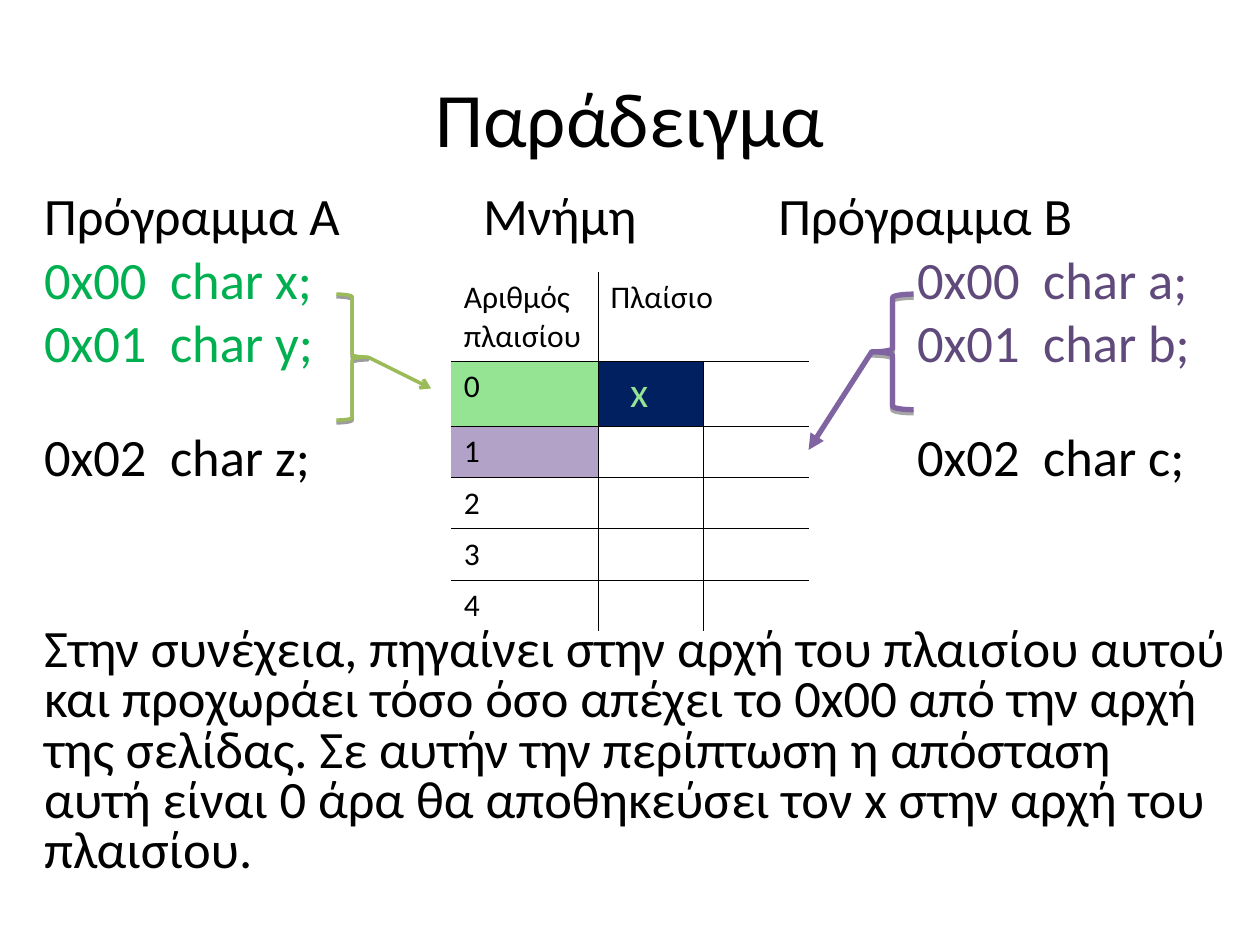
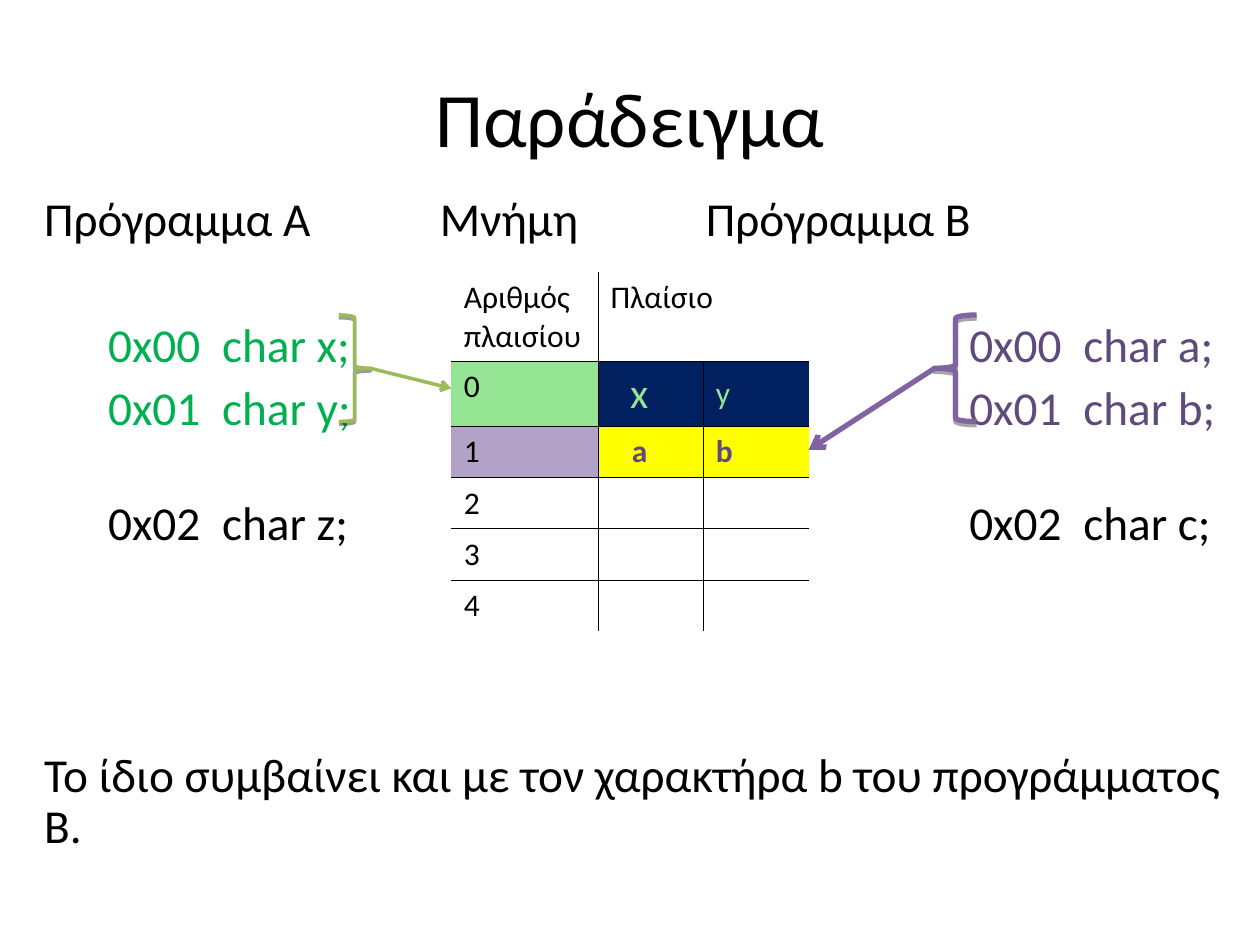
from dataclasses import dataclass

from lxml import etree
from pptx import Presentation
from pptx.dml.color import RGBColor
from pptx.enum.shapes import MSO_CONNECTOR, MSO_SHAPE
from pptx.enum.text import MSO_ANCHOR, PP_ALIGN
from pptx.oxml.ns import qn
from pptx.util import Cm, Pt


@dataclass(frozen=True)
class Theme:
    font: str = "Calibri"
    black: str = "000000"
    green_text: str = "00B050"
    purple_text: str = "604A7B"
    green_line: str = "9BBB59"
    purple_line: str = "8064A2"
    green_cell: str = "94E494"
    purple_cell: str = "B3A2C7"
    navy_cell: str = "002060"
    yellow_cell: str = "FFFF00"
    title_size: float = 44
    table_size: float = 18
    big_cell_size: float = 24
    border: float = 0.45


THEME = Theme()
CODE_LINES = [("0x00", "char x;", "char a;"), ("0x01", "char y;", "char b;"),
              ("0x02", "char z;", "char c;")]
FRAME_EDGE = (16.3, 9.07)


@dataclass
class BodyStyle:
    size: float
    line_spacing: float
    gap: float
    header_tabs: tuple
    code_tabs: tuple
    code_lead: str
    code_gaps: tuple
    note_gap: float


@dataclass
class Entry:
    """One coloured table cell holding a variable or a frame number."""
    text: str
    fill: str
    color: str = THEME.black
    size: float = THEME.table_size
    bold: bool = False
    inset: float = 0.25
    middle: bool = False


class MemoryDeck:
    def __init__(self, theme):
        self.theme = theme
        self.deck = Presentation()
        self.deck.slide_width, self.deck.slide_height = Cm(25.4), Cm(19.05)
        self.page = None

    def add_page(self, title):
        self.page = self.deck.slides.add_slide(self.deck.slide_layouts[5])
        box = self.page.shapes.title
        box.left, box.top, box.width, box.height = Cm(1.27), Cm(0.76), Cm(22.86), Cm(3.18)
        box.text_frame.text = title
        box.text_frame.vertical_anchor = MSO_ANCHOR.MIDDLE
        para = box.text_frame.paragraphs[0]
        para.alignment = PP_ALIGN.CENTER
        self.format_span(para.runs[0], self.theme.title_size, self.theme.black)

    def format_span(self, span, size, color, bold=False):
        span.font.name = self.theme.font
        span.font.size = Pt(size)
        span.font.bold = bold
        span.font.color.rgb = RGBColor.from_string(color)

    def add_body(self, style, note):
        theme = self.theme
        box = self.page.shapes.add_textbox(Cm(0.64), Cm(3.81), Cm(24.35), Cm(14.6))
        frame = box.text_frame
        frame.word_wrap = True
        header = "\t".join(["Πρόγραμμα Α", "Μνήμη", "Πρόγραμμα Β"])
        self.add_line(frame.paragraphs[0], style, [(header, theme.black)], 0,
                      style.header_tabs)
        colors = [(theme.green_text, theme.purple_text)] * 2 + [(theme.black, theme.black)]
        for (address, left, right), pair, gap in zip(CODE_LINES, colors, style.code_gaps):
            spans = [(f"{style.code_lead}{address}\t{left}\t", pair[0]),
                     (f"{address}\t{right}", pair[1])]
            self.add_line(frame.add_paragraph(), style, spans, gap, style.code_tabs)
        self.add_line(frame.add_paragraph(), style, [(note, theme.black)], style.note_gap)

    def add_line(self, para, style, spans, gap, tabs=()):
        if tabs:
            tab_list = etree.SubElement(para._p.get_or_add_pPr(), qn("a:tabLst"))
            for tab in tabs:
                etree.SubElement(tab_list, qn("a:tab"), pos=str(Cm(tab)), algn="l")
        para.line_spacing = style.line_spacing
        para.space_before = Pt(gap)
        for text, color in spans:
            span = para.add_run()
            span.text = text
            self.format_span(span, style.size, color)

    def add_frame_table(self, entries):
        """Draw the frame table; entries maps (row, column) to an Entry."""
        theme = self.theme
        widths, heights = [2.96, 2.12, 2.12], [1.8, 1.31] + [1.03] * 4
        table = self.page.shapes.add_table(
            len(heights), len(widths), Cm(9.1), Cm(5.49),
            Cm(sum(widths)), Cm(sum(heights))).table
        table.first_row = table.horz_banding = False
        for column, width in zip(table.columns, widths):
            column.width = Cm(width)
        for row, height in zip(table.rows, heights):
            row.height = Cm(height)
        table.cell(0, 1).merge(table.cell(0, 2))
        plain = {(0, 0): Entry("Αριθμός πλαισίου", ""), (0, 1): Entry("Πλαίσιο", "")}
        plain |= {(row, 0): Entry(str(row - 1), "") for row in range(1, len(heights))}
        contents = plain | entries
        for row in range(len(heights)):
            for column in range(len(widths)):
                cell = table.cell(row, column)
                self.fill_cell(cell, contents.get((row, column)))
                self.border_cell(cell, {
                    "lnL": column == 1 or (column == 2 and row > 0),
                    "lnR": column == 0 or (column == 1 and row > 0),
                    "lnT": row > 0,
                    "lnB": row < len(heights) - 1})

    def fill_cell(self, cell, entry):
        if entry and entry.fill:
            cell.fill.solid()
            cell.fill.fore_color.rgb = RGBColor.from_string(entry.fill)
        else:
            cell.fill.background()
        if entry:
            cell.text_frame.text = entry.text
            cell.margin_left = Cm(entry.inset)
            if entry.middle:
                cell.vertical_anchor = MSO_ANCHOR.MIDDLE
            self.format_span(cell.text_frame.paragraphs[0].runs[0],
                             entry.size, entry.color, entry.bold)

    def border_cell(self, cell, sides):
        properties = cell._tc.get_or_add_tcPr()
        for place, (side, visible) in enumerate(sides.items()):
            line = etree.Element(qn(f"a:{side}"), w=str(Pt(self.theme.border)))
            if visible:
                fill = etree.SubElement(line, qn("a:solidFill"))
                etree.SubElement(fill, qn("a:srgbClr"), val=self.theme.black)
            else:
                etree.SubElement(line, qn("a:noFill"))
            properties.insert(place, line)

    def add_brace(self, kind, left, top, width, height, color, weight, shadow):
        """Draw a brace with a (distance, opacity) shadow straight below it."""
        brace = self.page.shapes.add_shape(kind, Cm(left), Cm(top), Cm(width), Cm(height))
        brace.fill.background()
        brace.line.color.rgb = RGBColor.from_string(color)
        brace.line.width = Pt(weight)
        brace.shadow.inherit = False
        distance, opacity = shadow
        effects = brace._element.spPr.find(qn("a:effectLst"))
        outer = etree.SubElement(effects, qn("a:outerShdw"), dist=str(Pt(distance)),
                                 dir="5400000", rotWithShape="0")
        tint = etree.SubElement(outer, qn("a:srgbClr"), val=self.theme.black)
        etree.SubElement(tint, qn("a:alpha"), val=str(opacity * 1000))

    def add_arrow(self, start, end, color, weight, head):
        points = [Cm(value) for value in (*start, *end)]
        arrow = self.page.shapes.add_connector(MSO_CONNECTOR.STRAIGHT, *points)
        arrow.line.color.rgb = RGBColor.from_string(color)
        arrow.line.width = Pt(weight)
        etree.SubElement(arrow.line._get_or_add_ln(), qn("a:tailEnd"), type=head)
        etree.SubElement(arrow._element.spPr, qn("a:effectLst"))

    def map_program_a(self, left, top, height, target):
        color, width = self.theme.green_line, 0.64
        self.add_brace(MSO_SHAPE.RIGHT_BRACE, left, top, width, height, color, 2, (1.6, 38))
        self.add_arrow((left + width, top + height / 2), target, color, 2, "arrow")

    def map_program_b(self, left, top, height, head):
        color = self.theme.purple_line
        self.add_brace(MSO_SHAPE.LEFT_BRACE, left, top, 0.85, height, color, 3, (1.8, 35))
        self.add_arrow((left, top + height / 2), FRAME_EDGE, color, 3, head)


def main():
    theme = THEME
    memory = MemoryDeck(theme)
    frames = {(1, 0): Entry("0", theme.green_cell), (2, 0): Entry("1", theme.purple_cell)}
    cell_x = Entry("x", theme.navy_cell, theme.green_cell, theme.big_cell_size, inset=0.64)

    memory.add_page("Παράδειγμα")
    memory.add_body(
        BodyStyle(30, 0.8, 7.5, (8.85, 14.8), (2.54, 17.6, 20.14), "",
                  (7.5, 7.5, 36.5), 80),
        "Στην συνέχεια, πηγαίνει στην αρχή του πλαισίου αυτού και προχωράει τόσο όσο "
        "απέχει το 0x00 από την αρχή της σελίδας. Σε αυτήν την περίπτωση η απόσταση "
        "αυτή είναι 0 άρα θα αποθηκεύσει τον x στην αρχή του πλαισίου.")
    memory.add_frame_table(frames | {(1, 1): cell_x})
    memory.map_program_a(6.78, 5.93, 2.54, (8.69, 7.83))
    memory.map_program_b(17.57, 5.93, 2.33, "triangle")

    memory.add_page("Παράδειγμα")
    memory.add_body(
        BodyStyle(27, 0.9, 6.8, (7.98, 13.34), (1.29, 3.59, 18.65, 20.95), "\t",
                  (43, 6.8, 36.5), 115),
        "Το ίδιο συμβαίνει και με τον χαρακτήρα b του προγράμματος Β.")
    middle_x = Entry("x", theme.navy_cell, theme.green_cell, theme.big_cell_size,
                     inset=0.64, middle=True)
    memory.add_frame_table(frames | {
        (1, 1): middle_x,
        (1, 2): Entry("y", theme.navy_cell, theme.green_cell, middle=True),
        (2, 1): Entry("a", theme.yellow_cell, theme.purple_text, bold=True, inset=0.68),
        (2, 2): Entry("b", theme.yellow_cell, theme.purple_text, bold=True)})
    memory.map_program_a(6.83, 6.35, 2.15, (9.1, 7.83))
    memory.map_program_b(18.84, 6.35, 2.15, "arrow")

    memory.deck.save("out.pptx")


if __name__ == "__main__":
    main()
